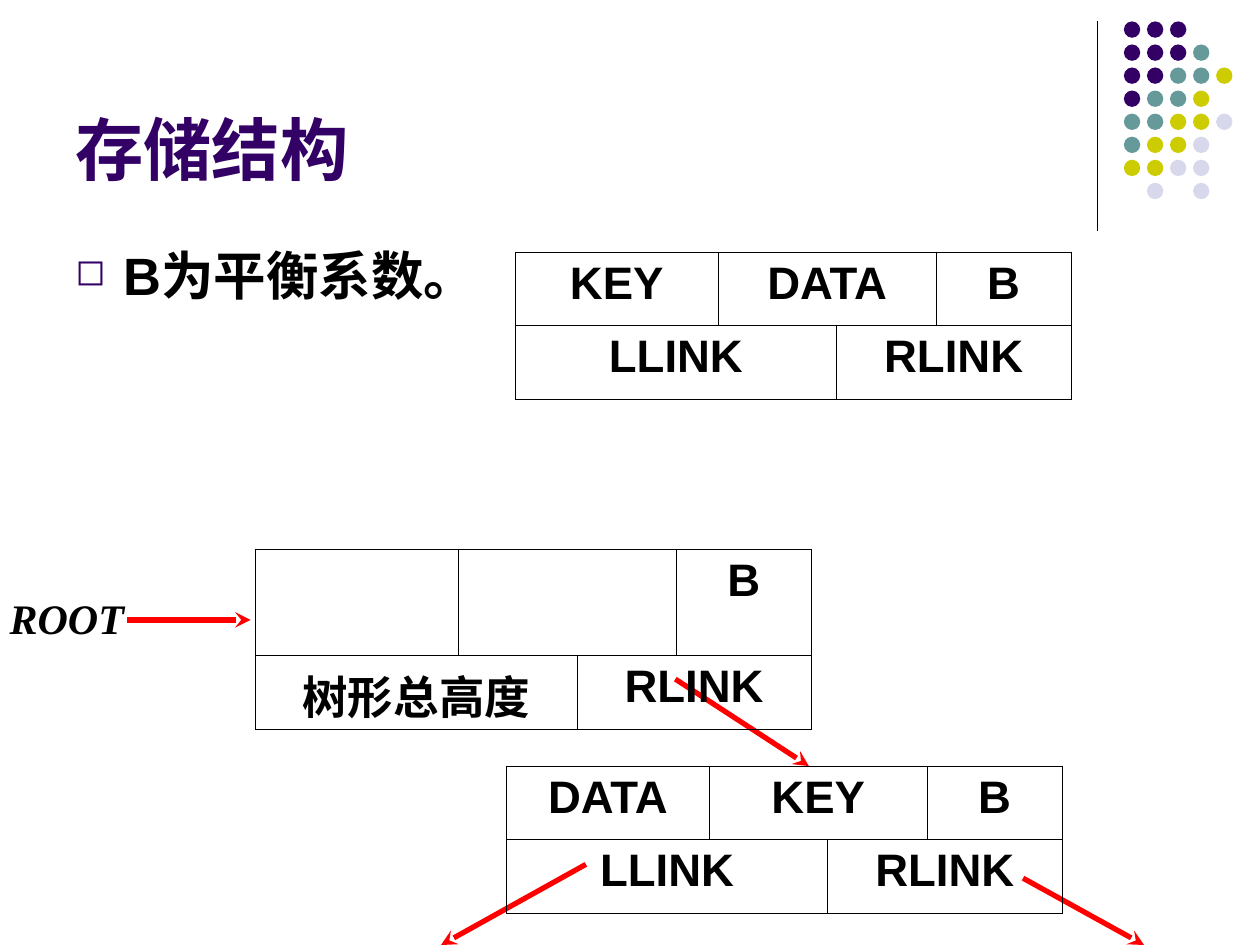
from lxml.etree import SubElement
from pptx import Presentation
from pptx.dml.color import RGBColor
from pptx.enum.shapes import MSO_CONNECTOR, MSO_SHAPE
from pptx.enum.text import MSO_ANCHOR, PP_ALIGN
from pptx.oxml.ns import qn
from pptx.util import Inches, Pt

PURPLE, BLACK, RED = "330066", "000000", "FF0000"
DOT_COLORS = {"P": PURPLE, "T": "669999", "Y": "CCCC00", "L": "D8D8EC"}
DOT_ROWS = ["PPP", "PPPT", "PPTTY", "PTTY", "TTYYL", "TYYL", "YYLL", " L L"]
DOT_LEFT, DOT_TOP, DOT_PITCH, DOT_SIZE = 8.92, 0.17, 0.183, 0.13

COLUMNS = [1.61, 0.94, 0.79, 1.07]
SPANS = [[(0, 0), (1, 2), (3, 3)], [(0, 1), (2, 3)]]
NODE_LAYOUT = (4.09, 2, [0.58, 0.59], [["KEY", "DATA", "B"], ["LLINK", "RLINK"]])
TREE_NODES = [
    (2.03, 4.36, [0.84, 0.59], [["", "", "B"], ["树形总高度", "RLINK"]]),
    (4.02, 6.08, [0.58, 0.59], [["DATA", "KEY", "B"], ["LLINK", "RLINK"]]),
]
ROOT_ARROW = (1.01, 4.92, 1.99, 4.92)
LINK_ARROWS = [(5.36, 5.39, 6.42, 6.08), (8.12, 6.97, 9.08, 7.5), (4.65, 6.86, 3.5, 7.5)]


def rgb(color):
    return RGBColor.from_string(color)


def format_text(paragraph, size, color=BLACK, name="Arial", italic=False):
    for run in paragraph.runs:
        font = run.font
        font.size, font.name, font.bold, font.italic = Pt(size), name, True, italic
        font.color.rgb = rgb(color)


def add_text(slide, box, text, size, **style):
    shape = slide.shapes.add_textbox(*map(Inches, box))
    frame = shape.text_frame
    frame.word_wrap = True
    frame.text = text
    format_text(frame.paragraphs[0], size, **style)
    return frame


def add_line(slide, ends, color, width, arrow=False):
    connector = slide.shapes.add_connector(MSO_CONNECTOR.STRAIGHT, *map(Inches, ends))
    connector.line.color.rgb = rgb(color)
    connector.line.width = Pt(width)
    if arrow:
        SubElement(connector.line._get_or_add_ln(), qn("a:tailEnd"), type="stealth")
    SubElement(connector._element.spPr, qn("a:effectLst"))


def add_dots(slide):
    for row, codes in enumerate(DOT_ROWS):
        for column, code in enumerate(codes):
            if code == " ":
                continue
            dot = slide.shapes.add_shape(
                MSO_SHAPE.OVAL, Inches(DOT_LEFT + column * DOT_PITCH),
                Inches(DOT_TOP + row * DOT_PITCH), Inches(DOT_SIZE), Inches(DOT_SIZE))
            dot.shadow.inherit = False
            dot.fill.solid()
            dot.fill.fore_color.rgb = rgb(DOT_COLORS[code])
            dot.line.fill.background()


def style_cell(cell):
    properties = cell._tc.get_or_add_tcPr()
    for side in ("lnL", "lnR", "lnT", "lnB"):
        border = SubElement(properties, qn(f"a:{side}"), w=str(Pt(0.45)))
        fill = SubElement(border, qn("a:solidFill"))
        SubElement(fill, qn("a:srgbClr"), val=BLACK)
    cell.fill.background()


def add_node(slide, left, top, heights, labels):
    frame = slide.shapes.add_table(
        len(heights), len(COLUMNS), Inches(left), Inches(top),
        Inches(sum(COLUMNS)), Inches(sum(heights)))
    table = frame.table
    table.first_row = table.horz_banding = False
    for column, width in zip(table.columns, COLUMNS):
        column.width = Inches(width)
    for row, height in zip(table.rows, heights):
        row.height = Inches(height)
    for cell in table.iter_cells():
        style_cell(cell)
    for row, (spans, texts) in enumerate(zip(SPANS, labels)):
        for (first, last), text in zip(spans, texts):
            cell = table.cell(row, first)
            if last > first:
                cell.merge(table.cell(row, last))
            cell.text = text
            paragraph = cell.text_frame.paragraphs[0]
            paragraph.alignment = PP_ALIGN.CENTER
            format_text(paragraph, 26)


def add_bullet(paragraph):
    properties = paragraph._p.get_or_add_pPr()
    properties.set("marL", str(Inches(0.38)))
    properties.set("indent", str(-Inches(0.38)))
    color = SubElement(properties, qn("a:buClr"))
    SubElement(color, qn("a:srgbClr"), val=PURPLE)
    SubElement(properties, qn("a:buSzPct"), val="70000")
    SubElement(properties, qn("a:buChar"), char="◻")


def main():
    presentation = Presentation()
    presentation.slide_width, presentation.slide_height = Inches(10), Inches(7.5)
    slide = presentation.slides.add_slide(presentation.slide_layouts[6])

    add_line(slide, (8.71, 0.17, 8.71, 1.83), BLACK, 0.75)
    add_dots(slide)
    title = add_text(slide, (0.5, 0.13, 8.25, 1.42), "存储结构", 39, color=PURPLE)
    title.vertical_anchor = MSO_ANCHOR.BOTTOM
    body = add_text(slide, (0.5, 1.88, 9, 4.82), "B为平衡系数。", 30)
    add_bullet(body.paragraphs[0])

    add_node(slide, *NODE_LAYOUT)
    add_line(slide, ROOT_ARROW, RED, 3, arrow=True)
    root = add_text(slide, (-0.03, 4.7, 1.12, 0.4), "ROOT", 24,
                    name="Times New Roman", italic=True)
    root.margin_left = root.margin_right = root.margin_top = root.margin_bottom = 0
    root.paragraphs[0].alignment = PP_ALIGN.CENTER
    for ends in LINK_ARROWS:
        add_line(slide, ends, RED, 3, arrow=True)
    for node in TREE_NODES:
        add_node(slide, *node)

    presentation.save("out.pptx")


if __name__ == "__main__":
    main()
